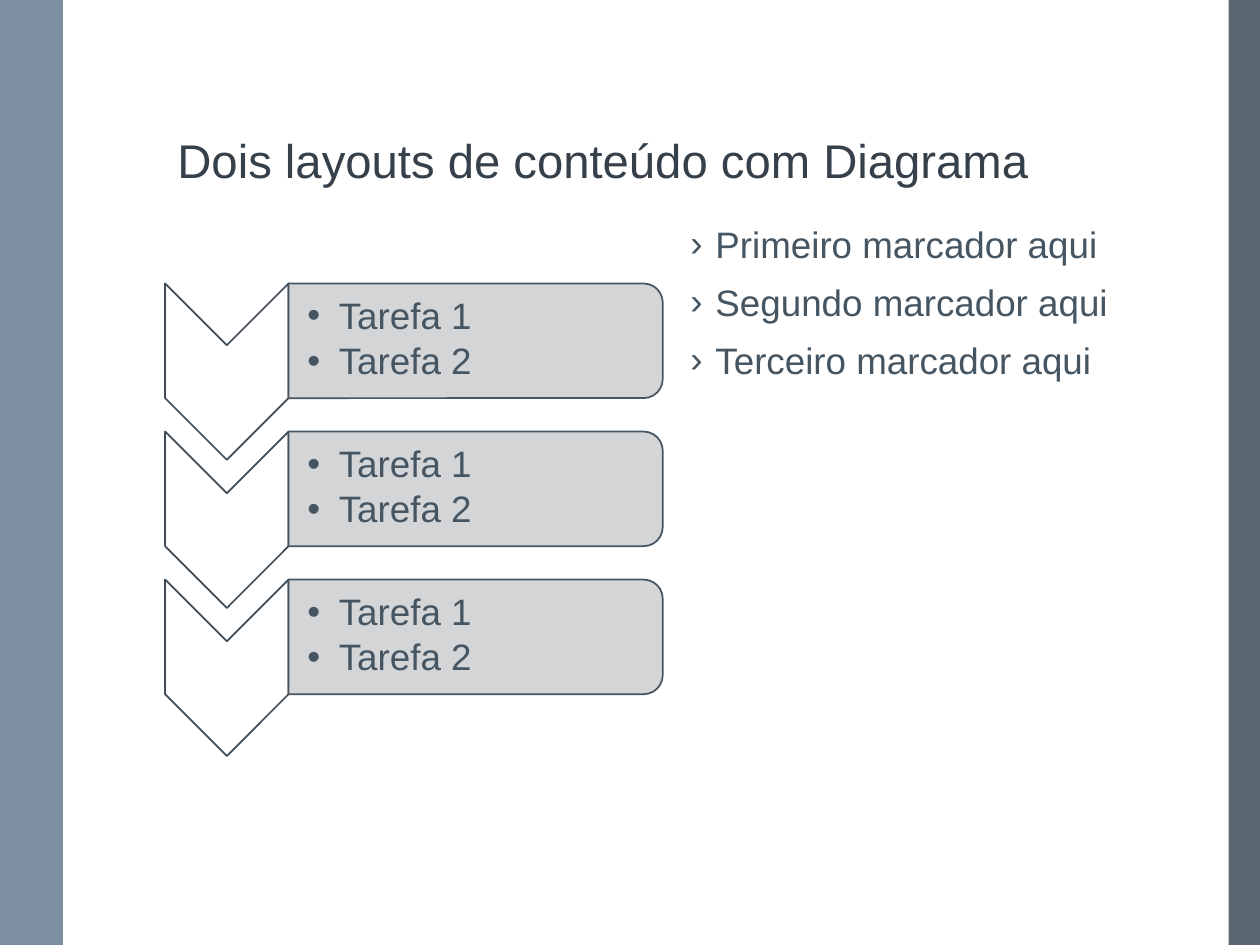
from lxml import etree
from pptx import Presentation, util as u
from pptx.dml.color import RGBColor
from pptx.enum import shapes, text
from pptx.oxml.ns import qn

prs = Presentation()
prs.slide_width, prs.slide_height = u.Inches(10), u.Inches(7.5)
s = prs.slides.add_slide(prs.slide_layouts[6])


def add_block(kind, box, fill, opacity=100, line=None, rotation=0):
    sp = s.shapes.add_shape(kind, *map(u.Inches, box))
    sp.shadow.inherit = False
    sp.rotation = rotation
    sp.fill.solid()
    sp.fill.fore_color.rgb = RGBColor.from_string(fill)
    if opacity < 100:
        clr = sp.fill._xPr.find(qn("a:solidFill"))[0]
        etree.SubElement(clr, qn("a:alpha")).set("val", str(opacity * 1000))
    if line:
        sp.line.color.rgb = RGBColor.from_string(line)
        sp.line.width = u.Pt(1)
    else:
        sp.line.fill.background()


def add_text(box, lines, size, color, anchor, insets=(0.1, 0.05, 0.1, 0.05),
             bullet=None, indent=0, before=0, after=0):
    tf = s.shapes.add_textbox(*map(u.Inches, box)).text_frame
    tf.word_wrap = True
    tf.vertical_anchor = anchor
    tf.margin_left, tf.margin_top, tf.margin_right, tf.margin_bottom = map(u.Inches, insets)
    for i, line in enumerate(lines):
        p = tf.add_paragraph() if i else tf.paragraphs[0]
        p.line_spacing = 0.9
        p.space_before, p.space_after = u.Pt(before), u.Pt(after)
        if bullet:
            pPr = p._p.get_or_add_pPr()
            pPr.set("marL", str(u.Inches(indent)))
            pPr.set("indent", str(-u.Inches(indent)))
            etree.SubElement(pPr, qn("a:buFont")).set("typeface", "Arial")
            etree.SubElement(pPr, qn("a:buChar")).set("char", bullet)
        r = p.add_run()
        r.text = line
        r.font.name = "Arial"
        r.font.size = u.Pt(size)
        r.font.color.rgb = RGBColor.from_string(color)


kinds = shapes.MSO_SHAPE
add_block(kinds.RECTANGLE, (9.75, 0, 0.25, 7.5), "475562", 90)
add_block(kinds.RECTANGLE, (0, 0, 0.5, 7.5), "6A8093", 88)
edge = s.shapes.add_connector(shapes.MSO_CONNECTOR.STRAIGHT, u.Inches(0.51), 0,
                              u.Inches(0.51), u.Inches(7.5))
edge.line.color.rgb = RGBColor.from_string("FFFFFF")
edge.line.width = u.Pt(1.5)
etree.SubElement(edge._element.spPr, qn("a:effectLst"))

add_text((1.31, 0.19, 8.03, 1.36), ["Dois layouts de conteúdo com Diagrama"],
         27, "35404A", text.MSO_ANCHOR.BOTTOM)

for step in range(3):
    y = 2.35 * step / 2
    add_block(kinds.CHEVRON, (1.1, 2.46 + y, 1.4, 0.98), "FFFFFF", line="404D59", rotation=90)
    add_block(kinds.ROUND_2_SAME_RECTANGLE, (3.32, 1.22 + y, 0.91, 2.97), "CFD1D3", 90,
              line="465562", rotation=90)
    add_text((2.28, 2.29 + y, 2.93, 0.82), ["Tarefa 1", "Tarefa 2"], 21, "465562",
             text.MSO_ANCHOR.MIDDLE, (0.16, 0.01, 0.01, 0.01), "•", 0.25, after=3.2)

add_text((5.38, 1.75, 3.95, 5),
         [f"{order} marcador aqui" for order in ("Primeiro", "Segundo", "Terceiro")],
         21, "465562", text.MSO_ANCHOR.TOP, bullet="›", indent=0.2, before=10.5)

prs.save("out.pptx")
